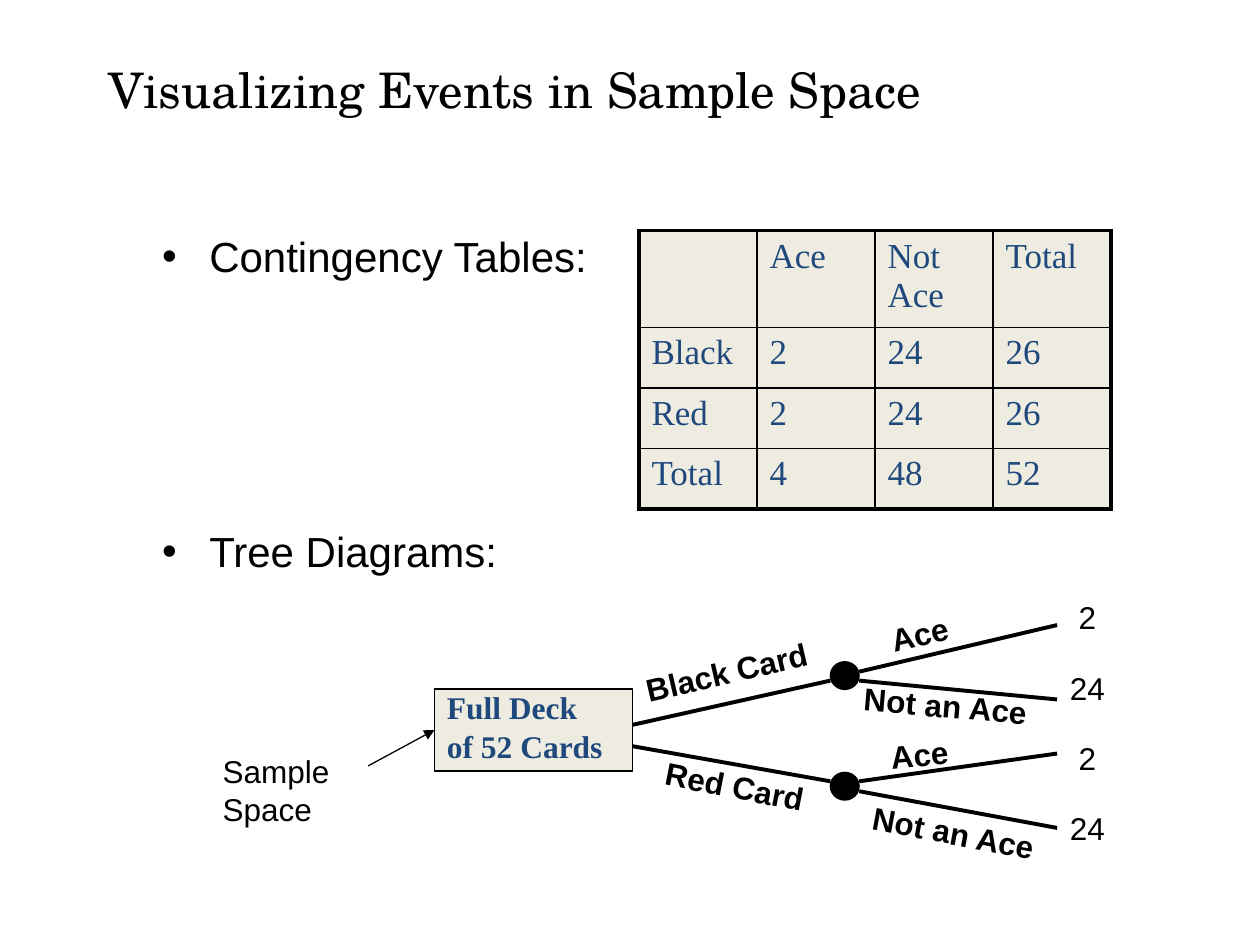
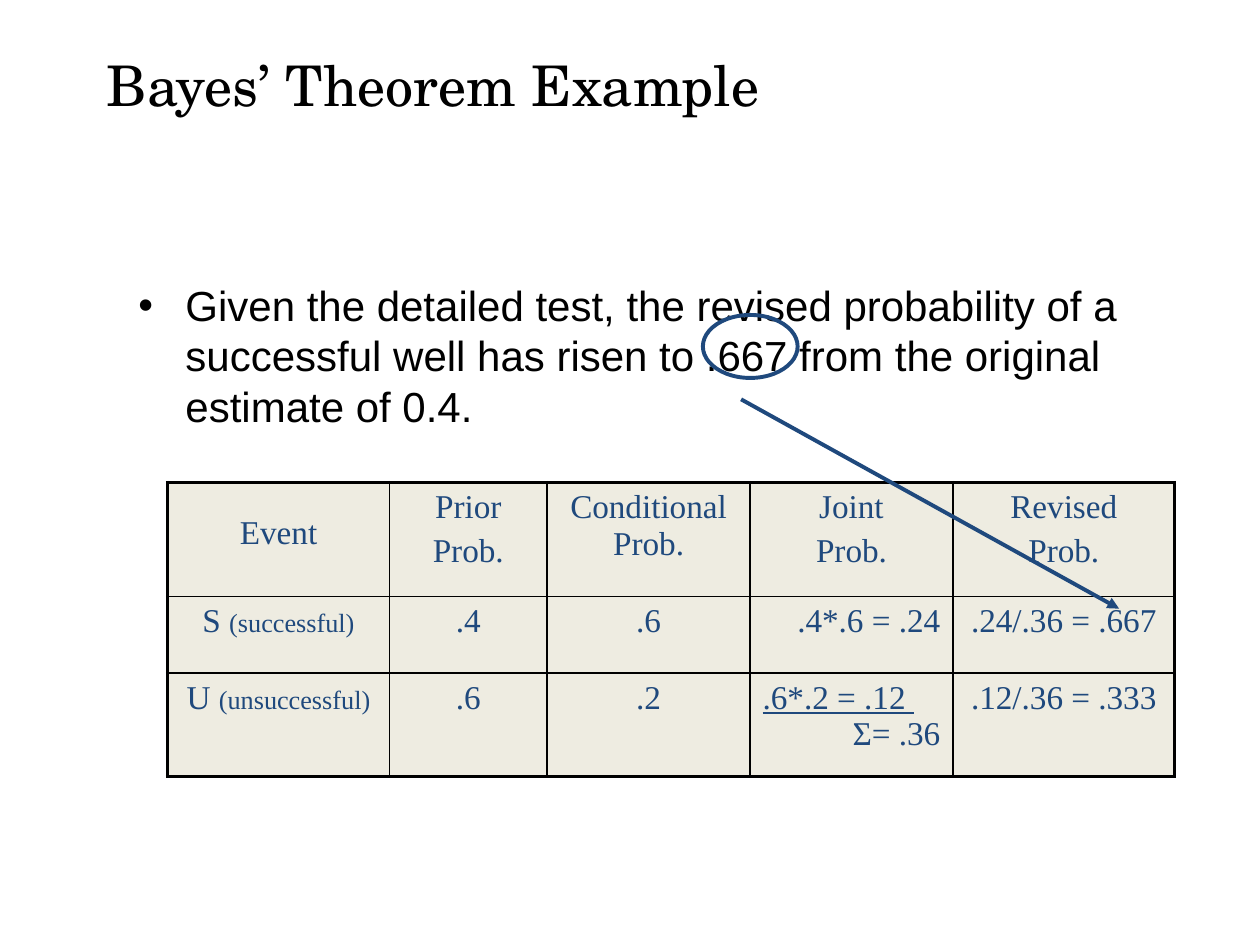
from dataclasses import dataclass, replace

from lxml.etree import SubElement
from pptx import Presentation
from pptx.dml.color import RGBColor
from pptx.enum.shapes import MSO_CONNECTOR, MSO_SHAPE
from pptx.enum.text import MSO_ANCHOR, PP_ALIGN
from pptx.oxml.ns import qn
from pptx.util import Cm, Pt

COLORS = {"ink": "000000", "navy": "1F497D", "sand": "EEECE1"}
TITLE_FONT, BODY_FONT, TABLE_FONT = "TeX Gyre Schola", "Arial", "Times New Roman"
THICK, THIN, HAIR = 2.25, 1, 0.75


@dataclass
class Style:
    font: str = BODY_FONT
    size: float = 18
    color: str = "ink"
    bold: bool = False


@dataclass
class Para:
    """A paragraph; each run is a text or a (text, font changes) pair."""
    runs: tuple
    align: PP_ALIGN = PP_ALIGN.LEFT
    spacing: float = None
    before: float = 0
    bullet: bool = False


BODY = Style(size=24)
LABEL = Style()
BRANCH = Style(bold=True)
CELL = Style(TABLE_FONT, 20, "navy")


def rgb(name):
    return RGBColor.from_string(COLORS[name])


def add_bullet(paragraph):
    properties = paragraph._p.get_or_add_pPr()
    properties.set("marL", str(Cm(0.95)))
    properties.set("indent", str(Cm(-0.95)))
    SubElement(properties, qn("a:buFont"), typeface=BODY_FONT)
    SubElement(properties, qn("a:buChar"), char="•")


def write(frame, paras, style):
    frame.word_wrap = True
    for index, para in enumerate(paras):
        paragraph = frame.add_paragraph() if index else frame.paragraphs[0]
        if para.bullet:
            add_bullet(paragraph)
        paragraph.alignment = para.align
        if para.spacing:
            paragraph.line_spacing = para.spacing
        if para.before:
            paragraph.space_before = Pt(para.before)
        for part in para.runs:
            text, changes = part if isinstance(part, tuple) else (part, {})
            run = paragraph.add_run()
            run.text = text
            run.font.name = style.font
            run.font.size = Pt(changes.get("size", style.size))
            run.font.bold = style.bold
            run.font.underline = changes.get("underline", False)
            run.font.color.rgb = rgb(style.color)


def add_text(slide, box, paras, style, rotation=0):
    text_box = slide.shapes.add_textbox(*map(Cm, box))
    text_box.rotation = rotation
    write(text_box.text_frame, paras, style)
    return text_box


def add_title(slide, box, text, size):
    title = add_text(slide, box, [Para((text,))], Style(TITLE_FONT, size))
    title.text_frame.vertical_anchor = MSO_ANCHOR.MIDDLE


def add_figure(slide, kind, box, fill, line, width):
    figure = slide.shapes.add_shape(kind, *map(Cm, box))
    figure.shadow.inherit = False
    if fill:
        figure.fill.solid()
        figure.fill.fore_color.rgb = rgb(fill)
    else:
        figure.fill.background()
    figure.line.color.rgb = rgb(line)
    figure.line.width = Pt(width)
    return figure


def add_line(slide, start, end, color="ink", width=THICK, arrow=False):
    line = slide.shapes.add_connector(
        MSO_CONNECTOR.STRAIGHT, *map(Cm, start + end))
    line.line.color.rgb = rgb(color)
    line.line.width = Pt(width)
    if arrow:
        SubElement(line.line._get_or_add_ln(), qn("a:tailEnd"), type="triangle")
    SubElement(line._element.spPr, qn("a:effectLst"))
    return line


def add_border(cell, side, width):
    edge = SubElement(cell._tc.get_or_add_tcPr(), qn(f"a:ln{side}"),
                      w=str(Pt(width)))
    SubElement(SubElement(edge, qn("a:solidFill")), qn("a:srgbClr"),
               val=COLORS["ink"])


def add_grid(slide, corner, widths, heights, rows, style):
    """Add a sand table with a thick frame and thin inner lines."""
    last_row, last_column = len(heights) - 1, len(widths) - 1
    table = slide.shapes.add_table(
        len(heights), len(widths), *map(Cm, corner),
        Cm(sum(widths)), Cm(sum(heights))).table
    table.first_row = table.horz_banding = False
    for column, width in zip(table.columns, widths):
        column.width = Cm(width)
    for row, height in zip(table.rows, heights):
        row.height = Cm(height)
    for r, row in enumerate(rows):
        for c, paras in enumerate(row):
            cell = table.cell(r, c)
            outer = {"L": c == 0, "R": c == last_column,
                     "T": r == 0, "B": r == last_row}
            for side, is_outer in outer.items():
                add_border(cell, side, THICK if is_outer else THIN)
            cell.fill.solid()
            cell.fill.fore_color.rgb = rgb("sand")
            write(cell.text_frame, paras, style)


def centered(*lines, before=4):
    return [Para((line,), PP_ALIGN.CENTER, before=before if i else 0)
            for i, line in enumerate(lines)]


def build_events(slide):
    add_title(slide, (1.93, 0.84, 22.3, 1.9),
              "Visualizing Events in Sample Space", 28)
    add_text(slide, (3.02, 4.52, 9.53, 11.43),
             [Para(("Contingency Tables:",), bullet=True),
              Para(("Tree Diagrams:",), before=140, bullet=True)], BODY)
    counts = [("", "Ace", "Not Ace", "Total"), ("Black", "2", "24", "26"),
              ("Red", "2", "24", "26"), ("Total", "4", "48", "52")]
    add_grid(slide, (12.88, 4.65), [2.38] * 4, [1.83] + [1.22] * 3,
             [[[Para((text,))] if text else [] for text in row]
              for row in counts], CELL)
    build_tree(slide)


def build_tree(slide):
    node_left, node_right, leaf = 16.74, 17.32, 21.31
    add_line(slide, (12.67, 14.63), (node_left, 13.72))
    add_line(slide, (12.57, 15.01), (node_left, 15.75))
    for start, end in ((13.54, 12.6), (13.72, 14.1),
                       (15.75, 15.19), (15.95, 16.69)):
        add_line(slide, (node_right, start), (leaf, end))

    deck = add_figure(slide, MSO_SHAPE.RECTANGLE, (8.76, 13.89, 3.99, 1.65),
                      "sand", "ink", THIN)
    deck.text_frame.vertical_anchor = MSO_ANCHOR.TOP
    write(deck.text_frame,
          [Para(("Full Deck",), spacing=0.8),
           Para(("of 52 Cards",), spacing=0.5, before=10)],
          replace(CELL, size=18, bold=True))

    for text, box, rotation, spacing in (
            ("Red Card", (13.13, 15.57, 3.61, 0.79), 11.1, 0.7),
            ("Black Card", (12.75, 13.16, 3.99, 0.86), -13.1, 0.8),
            ("Not an Ace", (17.32, 16.31, 4.19, 1.02), 10.6, None),
            ("Ace", (17.7, 12.22, 2.08, 1.02), -13.5, None),
            ("Ace", (17.7, 14.66, 2.46, 1.02), -5.9, None),
            ("Not an Ace", (17.15, 13.73, 4.19, 1.27), 4.9, None)):
        add_text(slide, box, [Para((text,), spacing=spacing)], BRANCH, rotation)

    for top in (13.34, 15.57):
        add_figure(slide, MSO_SHAPE.OVAL, (node_left, top, 0.58, 0.56),
                   "ink", "ink", HAIR)
    add_text(slide, (4.24, 15.04, 2.97, 1.78), [Para(("Sample Space",))], LABEL)
    pointer = add_line(slide, (7.42, 15.44), (8.69, 14.81),
                       width=HAIR, arrow=True)
    pointer.end_connect(deck, 1)
    outcomes = centered("2", "24", "2", "24", before=10)
    add_text(slide, (21.16, 11.63, 1.52, 5.66),
             [replace(para, spacing=1.4) for para in outcomes], LABEL)


def build_bayes(slide):
    add_title(slide, (1.9, 0.84, 19.48, 1.7), "Bayes’ Theorem Example", 32)
    add_text(slide, (2.54, 5.51, 21.59, 3.18), [Para((
        "Given the detailed test, the revised probability of a successful "
        "well has risen to .667 from the original estimate of 0.4.",),
        bullet=True)], BODY)

    def event(letter, meaning):
        return [Para((letter + " ", (f"({meaning})", {"size": 15})),
                     PP_ALIGN.CENTER)]

    joint_sum = [Para(((".6*.2 = .12 ", {"underline": True}),)),
                 Para(("Σ= .36",), PP_ALIGN.RIGHT)]
    rows = [
        [[Para(("Event",), PP_ALIGN.CENTER, 1.7)], centered("Prior", "Prob."),
         centered("Conditional Prob."), centered("Joint", "Prob."),
         centered("Revised", "Prob.")],
        [event("S", "successful"), centered(".4"), centered(".6"),
         [Para((".4*.6 = .24",), PP_ALIGN.RIGHT)], centered(".24/.36 = .667")],
        [event("U", "unsuccessful"), centered(".6"), centered(".2"),
         joint_sum, centered(".12/.36 = .333")],
    ]
    add_grid(slide, (3.38, 9.73), [4.47, 3.18, 4.09, 4.09, 4.47],
             [2.29, 1.55, 2.08], rows, replace(CELL, size=19))
    add_figure(slide, MSO_SHAPE.OVAL, (14.17, 6.35, 1.91, 1.27),
               None, "navy", THICK)
    add_line(slide, (14.94, 8.05), (22.56, 12.27), "navy", arrow=True)


def main():
    deck = Presentation()
    deck.slide_width, deck.slide_height = Cm(25.4), Cm(19.05)
    for build in (build_events, build_bayes):
        build(deck.slides.add_slide(deck.slide_layouts[6]))
    deck.save("out.pptx")


if __name__ == "__main__":
    main()
